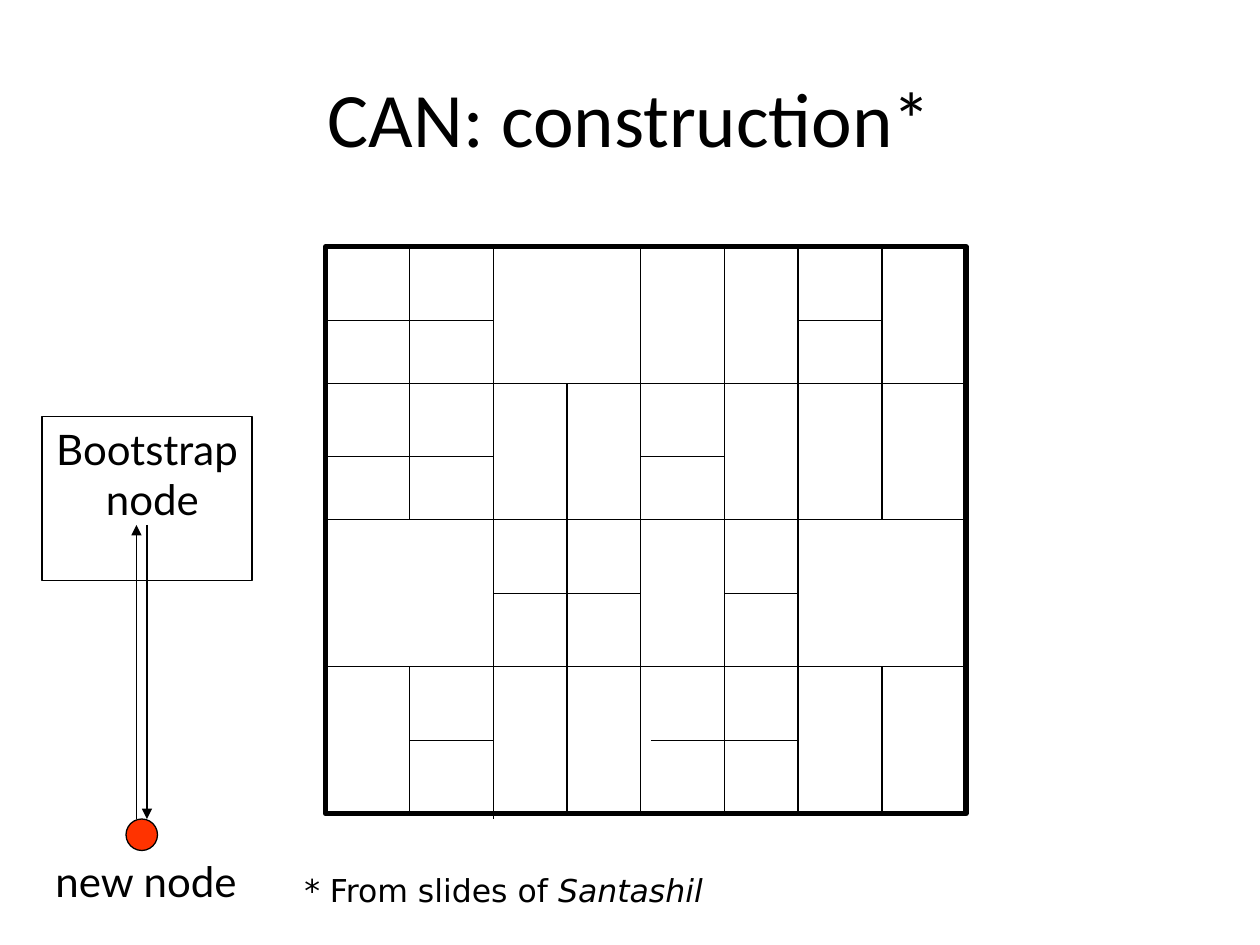
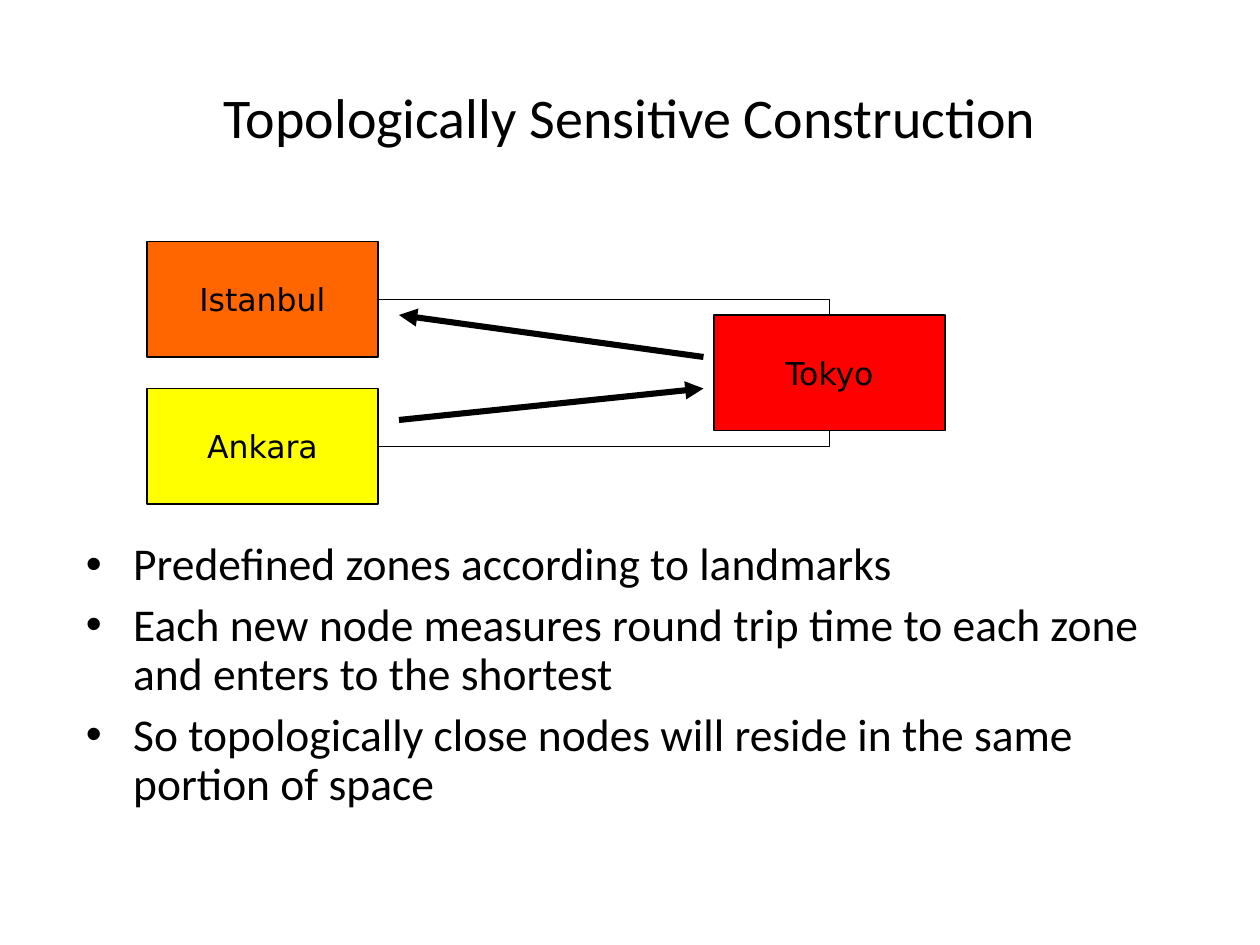
import lxml.etree
import pptx
import pptx.dml.color
import pptx.enum.shapes
import pptx.enum.text
import pptx.oxml.ns
import pptx.util

PX = 7620  # 120 px to the inch
BLACK = pptx.dml.color.RGBColor(0x00, 0x00, 0x00)
NODE_RED = pptx.dml.color.RGBColor(0xFF, 0x33, 0x00)
ORANGE = pptx.dml.color.RGBColor(0xFF, 0x66, 0x00)
YELLOW = pptx.dml.color.RGBColor(0xFF, 0xFF, 0x00)
RED = pptx.dml.color.RGBColor(0xFF, 0x00, 0x00)
BODY_FONT = "Calibri"
NODE_FONT = "Lato"
LABEL_FONT = "DejaVu Sans"
THIN, BORDER, THICK = 0.75, 3, 3.5
TITLE_BOX = (60, 36, 1080, 150)

COLUMNS = (0, 80, 160, 230, 300, 380, 450, 530, 610)
ROWS = (0, 70, 130, 200, 260, 330, 400, 470, 540)
# Column index with the px its wall runs past the top and the bottom
FULL_WALLS = ((2, 0, 5), (4, 2, 2), (6, 0, 0))
# Odd column index: rows where the split bands start
SPLIT_BANDS = {1: (0, 2, 6), 3: (2, 4, 6), 5: (0, 2, 4, 6), 7: (0, 2, 6)}
# Row index, first and last column index, px left out at the start
HALF_WALLS = (
    (1, 0, 2, 0), (1, 6, 7, 0), (3, 0, 2, 0), (3, 4, 5, 0),
    (5, 2, 4, 0), (5, 5, 6, 0), (7, 1, 2, 0), (7, 4, 6, 10),
)

STRAIGHT = pptx.enum.shapes.MSO_CONNECTOR.STRAIGHT
ELBOW = pptx.enum.shapes.MSO_CONNECTOR.ELBOW
RECTANGLE = pptx.enum.shapes.MSO_SHAPE.RECTANGLE
OVAL = pptx.enum.shapes.MSO_SHAPE.OVAL
CENTER = pptx.enum.text.PP_ALIGN.CENTER
MIDDLE = pptx.enum.text.MSO_ANCHOR.MIDDLE


def emu(*lengths):
    return [pptx.util.Emu(length * PX) for length in lengths]


def add_element(parent, tag, **attributes):
    element = lxml.etree.SubElement(parent, pptx.oxml.ns.qn(tag))
    for name, value in attributes.items():
        element.set(name, value)


def format_runs(paragraph, font, size):
    for run in paragraph.runs:
        run.font.name = font
        run.font.size = pptx.util.Pt(size)
        run.font.color.rgb = BLACK


def add_titled_slide(presentation, title, size):
    slide = presentation.slides.add_slide(presentation.slide_layouts[5])
    shape = slide.shapes.title
    shape.left, shape.top, shape.width, shape.height = emu(*TITLE_BOX)
    shape.text_frame.text = title
    shape.text_frame.vertical_anchor = MIDDLE
    paragraph = shape.text_frame.paragraphs[0]
    paragraph.alignment = CENTER
    format_runs(paragraph, BODY_FONT, size)
    return slide


def add_line(shapes, start, end, width=THIN, arrow=False, kind=STRAIGHT):
    connector = shapes.add_connector(kind, *emu(*start, *end))
    connector.line.color.rgb = BLACK
    connector.line.width = pptx.util.Pt(width)
    properties = connector._element.spPr
    if arrow:
        add_element(properties.find(pptx.oxml.ns.qn("a:ln")), "a:tailEnd", type="triangle")
    add_element(properties, "a:effectLst")
    return connector


def add_outlined(shapes, kind, box, fill=None, width=THIN):
    shape = shapes.add_shape(kind, *emu(*box))
    shape.shadow.inherit = False
    if fill is None:
        shape.fill.background()
    else:
        shape.fill.solid()
        shape.fill.fore_color.rgb = fill
    shape.line.color.rgb = BLACK
    shape.line.width = pptx.util.Pt(width)
    return shape


def add_text(slide, box, text, font, size):
    text_frame = slide.shapes.add_textbox(*emu(*box)).text_frame
    text_frame.word_wrap = True
    text_frame.text = text
    format_runs(text_frame.paragraphs[0], font, size)
    return text_frame


def add_zone_grid(slide, box):
    left, top, width, height = box
    shapes = slide.shapes.add_group_shape().shapes
    add_outlined(shapes, RECTANGLE, box, width=BORDER)

    def wall(x1, y1, x2, y2):
        add_line(shapes, (left + x1, top + y1), (left + x2, top + y2))

    for column, above, below in FULL_WALLS:
        wall(COLUMNS[column], -above, COLUMNS[column], height + below)
    for y in ROWS[2:-1:2]:
        wall(0, y, width, y)
    for column, bands in SPLIT_BANDS.items():
        for row in bands:
            wall(COLUMNS[column], ROWS[row], COLUMNS[column], ROWS[row + 2])
    for row, first, last, inset in HALF_WALLS:
        wall(COLUMNS[first] + inset, ROWS[row], COLUMNS[last], ROWS[row])


def add_bootstrap(slide, box):
    """Bootstrap node above the new node, with a request and a reply."""
    left, top, width, height = box
    add_outlined(slide.shapes, OVAL, (left + 80, top + 383, 30, 30), NODE_RED)
    bootstrap = add_outlined(slide.shapes, RECTANGLE, (left, top, width, 156))
    text_frame = bootstrap.text_frame
    text_frame.word_wrap = True
    text_frame.vertical_anchor = pptx.enum.text.MSO_ANCHOR.TOP
    paragraph = text_frame.paragraphs[0]
    paragraph.text = "Bootstrap\v node"
    paragraph.alignment = CENTER
    format_runs(paragraph, NODE_FONT, 24)
    upper, lower = top + 103, top + 383
    add_line(slide.shapes, (left + 90, lower), (left + 90, upper), arrow=True)
    add_line(slide.shapes, (left + 100, upper), (left + 100, lower), arrow=True)
    add_text(slide, (left + 1, top + height - 60, 216, 60), "new node", NODE_FONT, 24)


def add_source_note(slide, box):
    text_frame = add_text(slide, box, "* From slides of ", LABEL_FONT, 18)
    paragraph = text_frame.paragraphs[0]
    author = paragraph.add_run()
    author.text = "Santashil"
    author.font.italic = True
    format_runs(paragraph, LABEL_FONT, 18)


def add_city(slide, box, name, fill):
    shape = add_outlined(slide.shapes, RECTANGLE, box, fill)
    shape.text_frame.text = name
    shape.text_frame.word_wrap = False
    shape.text_frame.vertical_anchor = MIDDLE
    paragraph = shape.text_frame.paragraphs[0]
    paragraph.alignment = CENTER
    format_runs(paragraph, LABEL_FONT, 18)
    return shape


def add_landmarks(slide, box):
    left, top, width, height = box
    city_width, city_height = 220, 110
    right = left + width - city_width

    def city(x, y, name, fill):
        return add_city(slide, (x, y, city_width, city_height), name, fill)

    ankara = city(left, top + height - city_height, "Ankara", YELLOW)
    istanbul = city(left, top, "Istanbul", ORANGE)
    tokyo = city(right, top + 70, "Tokyo", RED)
    for neighbour, tokyo_side in ((ankara, 2), (istanbul, 0)):
        link = add_line(slide.shapes, (left, top), (right, top), kind=ELBOW)
        link.begin_connect(neighbour, 3)
        link.end_connect(tokyo, tokyo_side)
        geometry = link._element.spPr.find(pptx.oxml.ns.qn("a:prstGeom"))
        geometry.set("prst", "bentConnector2")
    near, far = left + city_width + 20, right - 10
    add_line(slide.shapes, (near, top + 170), (far, top + 140), THICK, arrow=True)
    add_line(slide.shapes, (far, top + 110), (near, top + 70), THICK, arrow=True)


def add_bullets(slide, box, items):
    text_frame = slide.shapes.add_textbox(*emu(*box)).text_frame
    text_frame.word_wrap = True
    text_frame.text = "\n".join(items)
    for index, paragraph in enumerate(text_frame.paragraphs):
        properties = paragraph._p.get_or_add_pPr()
        indent = 45 * PX
        properties.set("marL", str(indent))
        properties.set("indent", str(-indent))
        add_element(properties, "a:buFont", typeface="Arial")
        add_element(properties, "a:buChar", char="•")
        paragraph.line_spacing = 0.9
        if index:
            paragraph.space_before = pptx.util.Pt(6.5)
        format_runs(paragraph, BODY_FONT, 26)


def build_construction(presentation):
    slide = add_titled_slide(presentation, "CAN: construction*", 44)
    add_zone_grid(slide, (310, 235, COLUMNS[-1], ROWS[-1]))
    add_bootstrap(slide, (40, 397, 200, 472))
    add_source_note(slide, (278, 824, 493, 75))


def build_topology(presentation):
    slide = add_titled_slide(presentation, "Topologically Sensitive Construction", 32)
    add_bullets(slide, (70, 510, 1055, 280), (
        "Predefined zones according to landmarks",
        "Each new node measures round trip time to each zone and enters to the shortest",
        "So topologically close nodes will reside in the same portion of space",
    ))
    add_landmarks(slide, (140, 230, 760, 250))


def main():
    presentation = pptx.Presentation()
    presentation.slide_width, presentation.slide_height = emu(1200, 900)
    build_construction(presentation)
    build_topology(presentation)
    presentation.save("out.pptx")


if __name__ == "__main__":
    main()
